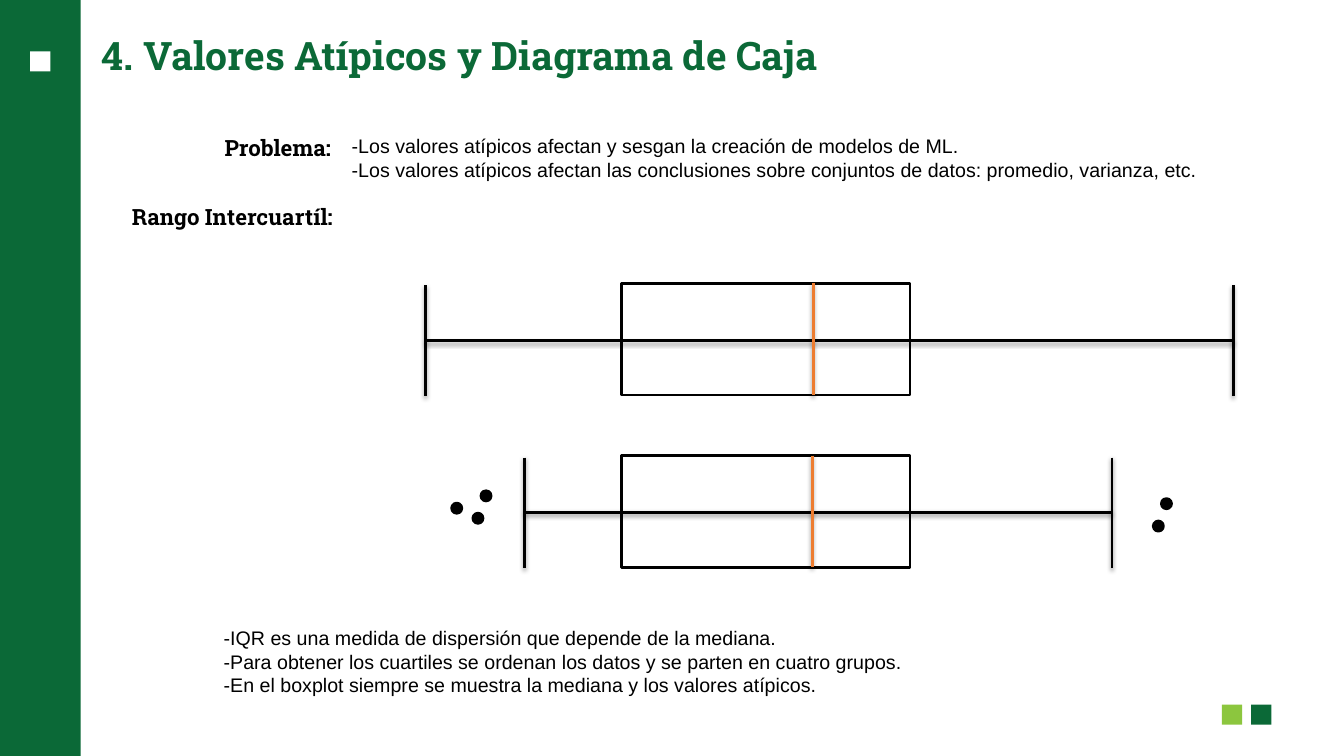
from collections import namedtuple

from lxml import etree
from pptx import Presentation
from pptx.dml.color import RGBColor
from pptx.enum.shapes import MSO_CONNECTOR, MSO_SHAPE
from pptx.enum.text import MSO_ANCHOR, MSO_AUTO_SIZE, PP_ALIGN
from pptx.oxml import parse_xml
from pptx.oxml.ns import nsdecls, qn
from pptx.util import Inches, Pt

GREEN = RGBColor(0x0B, 0x69, 0x37)
LIME = RGBColor(0x8C, 0xC6, 0x3E)
ORANGE = RGBColor(0xED, 0x7D, 0x31)
BLACK = RGBColor(0, 0, 0)
WHITE = RGBColor(0xFF, 0xFF, 0xFF)

WIDTH, HEIGHT = 13.33, 7.5
SQUARE = 0.2
DOT = 0.1
SCALE_COLUMNS = 8

TITLE = {"name": "Roboto Slab", "size": Pt(28), "bold": True}
LABEL = {"name": "Roboto Slab", "size": Pt(16), "bold": True}
BODY = {"name": "Arial", "size": Pt(14), "bold": False}

Box = namedtuple("Box", "left top width height")
Summary = namedtuple("Summary", "low q1 median q3 high outliers")

FULL_RANGE = Summary(0, 1.94, 3.84, 4.8, 8, [])
WITH_OUTLIERS = Summary(
    0.98, 1.94, 3.83, 4.8, 6.8,
    [(0.31, 0.47), (0.52, 0.56), (0.6, 0.36), (7.26, 0.63), (7.34, 0.43)],
)


def add_block(slide, kind, box, fill=None, line=None):
    block = slide.shapes.add_shape(kind, *map(Inches, box))
    block.shadow.inherit = False
    if fill is None:
        block.fill.background()
    else:
        block.fill.solid()
        block.fill.fore_color.rgb = fill
    if line is None:
        block.line.fill.background()
    else:
        block.line.color.rgb = line
        block.line.width = Pt(2)


def add_stroke(slide, start, end, color=BLACK):
    stroke = slide.shapes.add_connector(
        MSO_CONNECTOR.STRAIGHT, *map(Inches, (*start, *end)))
    stroke.line.color.rgb = color
    stroke.line.width = Pt(2)
    effects = etree.SubElement(stroke._element.spPr, qn("a:effectLst"))
    effects.append(parse_xml(
        f'<a:outerShdw {nsdecls("a")} blurRad="40000" dist="20000" dir="5400000" '
        'rotWithShape="0"><a:srgbClr val="000000"><a:alpha val="38000"/>'
        '</a:srgbClr></a:outerShdw>'))


def add_text(slide, box, lines, style, color=BLACK, align=PP_ALIGN.LEFT,
             anchor=MSO_ANCHOR.TOP, wrap=False, spacing=1.0):
    frame = slide.shapes.add_textbox(*map(Inches, box)).text_frame
    settings = {"word_wrap": wrap, "vertical_anchor": anchor,
                "auto_size": MSO_AUTO_SIZE.NONE}
    for key, value in settings.items():
        setattr(frame, key, value)
    for index, line in enumerate(lines):
        paragraph = frame.paragraphs[0] if index == 0 else frame.add_paragraph()
        paragraph.alignment = align
        paragraph.line_spacing = spacing
        run = paragraph.add_run()
        run.text = line
        run.font.color.rgb = color
        for key, value in style.items():
            setattr(run.font, key, value)


def add_frame(slide, box):
    band = Box(box.left, box.top, 0.06 * box.width, box.height)
    add_block(slide, MSO_SHAPE.RECTANGLE, band, GREEN)
    markers = [(0.3, 0.51, WHITE), (12.41, 6.99, GREEN), (12.12, 6.99, LIME)]
    for left, top, color in markers:
        marker = Box(box.left + left, box.top + top, SQUARE, SQUARE)
        add_block(slide, MSO_SHAPE.RECTANGLE, marker, color)


def add_problem(slide, box):
    label_width = 1.27
    add_text(slide, Box(box.left, box.top, label_width, 0.37), ["Problema:"],
             LABEL, align=PP_ALIGN.CENTER)
    add_text(slide, Box(box.left + label_width, box.top,
                        box.width - label_width, box.height), [
        "-Los valores atípicos afectan y sesgan la creación de modelos de ML.",
        "-Los valores atípicos afectan las conclusiones sobre conjuntos de datos: "
        "promedio, varianza, etc.",
    ], BODY)


def add_box_plot(slide, box, summary):
    column = box.width / SCALE_COLUMNS
    bottom = box.top + box.height
    middle = box.top + box.height / 2 + 0.01

    def place(value):
        return box.left + value * column

    quartiles = Box(place(summary.q1), box.top,
                    (summary.q3 - summary.q1) * column, box.height)
    add_block(slide, MSO_SHAPE.RECTANGLE, quartiles, line=BLACK)
    add_stroke(slide, (place(summary.low), middle), (place(summary.high), middle))
    add_stroke(slide, (place(summary.median), box.top),
               (place(summary.median), bottom), ORANGE)
    for whisker in (summary.low, summary.high):
        add_stroke(slide, (place(whisker), box.top + 0.02),
                   (place(whisker), bottom + 0.01))
    for value, rise in summary.outliers:
        dot = Box(place(value) - DOT / 2, box.top + rise * box.height - DOT / 2,
                  DOT, DOT)
        add_block(slide, MSO_SHAPE.OVAL, dot, BLACK, BLACK)


def add_conclusions(slide, box):
    add_text(slide, box, [
        "-IQR es una medida de dispersión que depende de la mediana.",
        "-Para obtener los cuartiles se ordenan los datos y se parten en cuatro grupos.",
        "-En el boxplot siempre se muestra la mediana y los valores atípicos.",
    ], BODY, wrap=True)


def main():
    deck = Presentation()
    deck.slide_width, deck.slide_height = Inches(WIDTH), Inches(HEIGHT)
    slide = deck.slides.add_slide(deck.slide_layouts[6])

    add_frame(slide, Box(0, 0, WIDTH, HEIGHT))
    add_text(slide, Box(0.91, 0.11, 9.08, 0.93),
             ["4. Valores Atípicos y Diagrama de Caja"], TITLE, GREEN,
             anchor=MSO_ANCHOR.MIDDLE, wrap=True, spacing=0.9)
    add_problem(slide, Box(2.12, 1.28, 9.89, 0.57))
    add_text(slide, Box(1.2, 1.97, 2.21, 0.37), ["Rango Intercuartíl:"],
             LABEL, align=PP_ALIGN.CENTER)
    for row, summary in enumerate((FULL_RANGE, WITH_OUTLIERS)):
        add_box_plot(slide, Box(4.22, 2.81 + row * 1.71, 8.01, 1.11), summary)
    add_conclusions(slide, Box(2.12, 6.16, 7.45, 0.81))

    deck.save("out.pptx")


if __name__ == "__main__":
    main()
